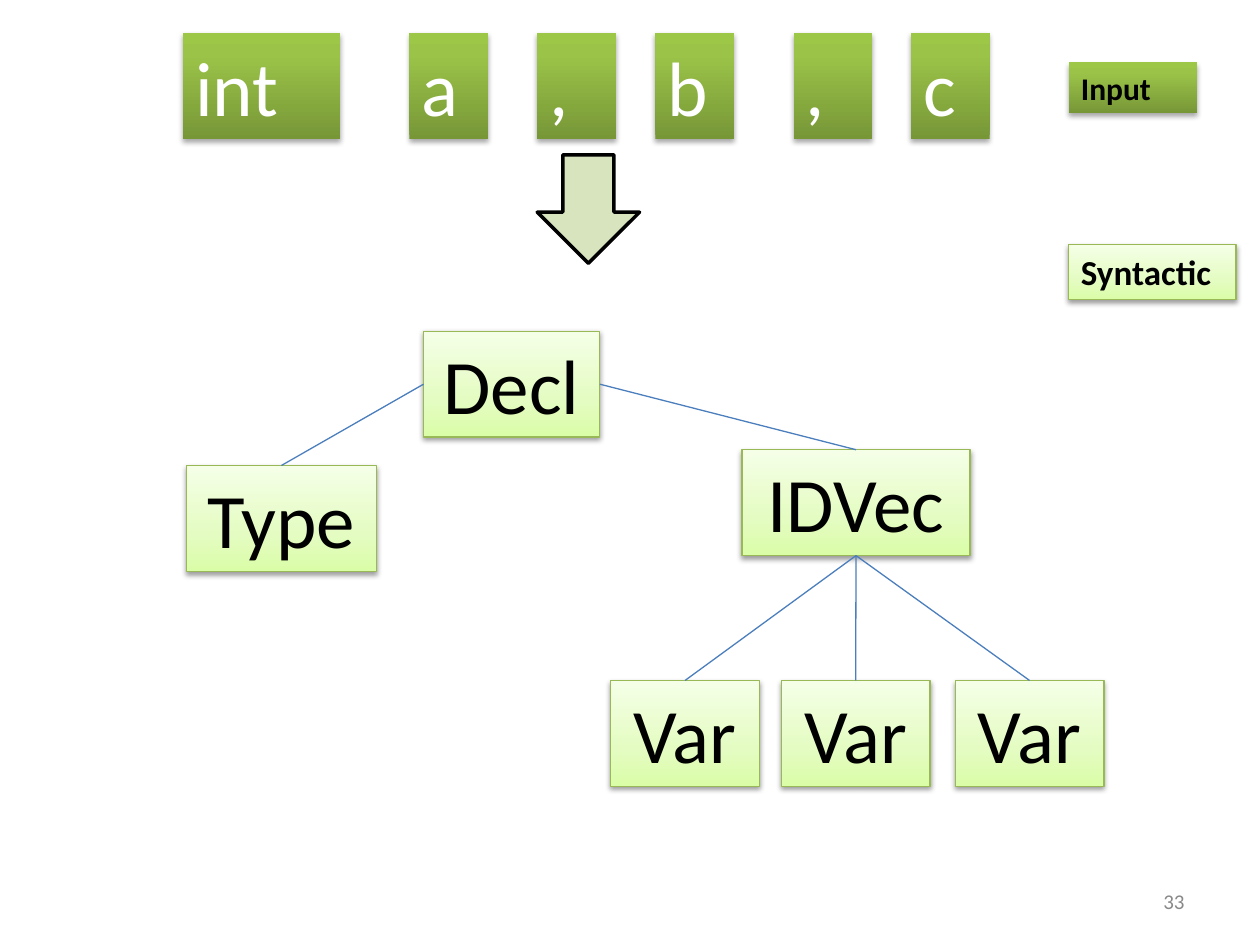
from copy import deepcopy

from lxml import etree
from pptx import Presentation
from pptx import util as u
from pptx.dml.color import RGBColor
from pptx.enum import shapes, text
from pptx.oxml.ns import qn

COLORS = {"white": "FFFFFF", "black": "000000", "grey": "898989",
          "edge": "4B7EBC", "outline": "98B955", "arrow": "D7E4BD"}
TOKEN = {"stops": [(0, "779737"), (0.8, "9BC348"), (1, "9DC746")],
         "outline": None, "shadow": (35, 3.1, 1.8)}
NODE = {"stops": [(0, "DAFDA7"), (0.35, "E4FCC2"), (1, "F5FFE7")],
        "outline": "outline", "shadow": (38, 3.1, 1.6)}
TOP, LEFT, BOTTOM, RIGHT = range(4)  # connection sites of a rectangle
BOX_HEIGHT = 60.5


def rgb(name):
    return RGBColor.from_string(COLORS[name])


class Diagram:
    font = "Calibri"

    def __init__(self, slide):
        self.shapes = slide.shapes

    def label(self, sp, words, size, color, align, bold=False, **frame):
        tf = sp.text_frame
        for key, value in {"word_wrap": True, **frame}.items():
            setattr(tf, key, value)
        p = tf.paragraphs[0]
        p.alignment = align
        r = p.add_run()
        r.text = words
        for key, value in {"name": self.font, "size": u.Pt(size), "bold": bold}.items():
            setattr(r.font, key, value)
        r.font.color.rgb = rgb(color)

    def shape(self, kind, left, top, width, height, outline, line_width=0.75):
        sp = self.shapes.add_shape(kind, *map(u.Pt, (left, top, width, height)))
        sp.shadow.inherit = False
        if outline:
            sp.line.color.rgb = rgb(outline)
            sp.line.width = u.Pt(line_width)
        else:
            sp.line.fill.background()
        return sp

    def gradient(self, sp, stops):
        """Fill from the bottom edge up with three colour stops."""
        sp.fill.gradient()
        sp.fill.gradient_angle = 90
        stop_list = sp._element.spPr.find(f"{qn('a:gradFill')}/{qn('a:gsLst')}")
        stop_list.append(deepcopy(stop_list[0]))
        for stop, (position, color) in zip(sp.fill.gradient_stops, stops):
            stop.position = position
            stop.color.rgb = RGBColor.from_string(color)

    def drop_shadow(self, sp, opacity, blur, distance):
        effects = sp._element.spPr.find(qn("a:effectLst"))
        shadow = etree.SubElement(effects, qn("a:outerShdw"), {
            "blurRad": str(u.Pt(blur)), "dist": str(u.Pt(distance)),
            "dir": "5400000", "rotWithShape": "0"})
        color = etree.SubElement(shadow, qn("a:srgbClr"), val=COLORS["black"])
        etree.SubElement(color, qn("a:alpha"), val=str(opacity * 1000))

    def box(self, style, words, left, top, width, height=BOX_HEIGHT, size=44,
            color="black", align=text.PP_ALIGN.CENTER, bold=False):
        sp = self.shape(shapes.MSO_SHAPE.RECTANGLE, left, top, width, height,
                        style["outline"])
        self.gradient(sp, style["stops"])
        self.drop_shadow(sp, *style["shadow"])
        self.label(sp, words, size, color, align, bold,
                   vertical_anchor=text.MSO_ANCHOR.TOP,
                   auto_size=text.MSO_AUTO_SIZE.SHAPE_TO_FIT_TEXT)
        return sp

    def edge(self, parent, site, child):
        """Join a site of the parent to the top of the child."""
        line = self.shapes.add_connector(shapes.MSO_CONNECTOR.STRAIGHT, 0, 0, 0, 0)
        line.begin_connect(parent, site)
        line.end_connect(child, TOP)
        line.line.color.rgb = rgb("edge")
        line.line.width = u.Pt(0.75)
        etree.SubElement(line._element.spPr, qn("a:effectLst"))

    def down_arrow(self, left, top, width, height):
        sp = self.shape(shapes.MSO_SHAPE.DOWN_ARROW, left, top, width, height, "black", 2)
        sp.fill.solid()
        sp.fill.fore_color.rgb = rgb("arrow")

    def page_number(self, words, left, top, width, height):
        sp = self.shapes.add_textbox(*map(u.Pt, (left, top, width, height)))
        self.label(sp, words, 12, "grey", text.PP_ALIGN.RIGHT,
                   vertical_anchor=text.MSO_ANCHOR.MIDDLE)


def main():
    prs = Presentation()
    prs.slide_width, prs.slide_height = u.Pt(720), u.Pt(540)
    d = Diagram(prs.slides.add_slide(prs.slide_layouts[6]))
    left_align = text.PP_ALIGN.LEFT

    tokens = [("int", 104.5, 90), ("a", 234, 45), (",", 307, 45),
              ("b", 374.5, 45), (",", 453.5, 45), ("c", 520.5, 45)]
    for word, left, width in tokens:
        d.box(TOKEN, word, left, 18.9, width, color="white", align=left_align)
    d.down_arrow(307, 88.5, 58.5, 62)

    decl = d.box(NODE, "Decl", 242, 189.3, 100.8)
    type_node = d.box(NODE, "Type", 106.5, 266, 108.7)
    id_vec = d.box(NODE, "IDVec", 424, 257, 130.3)
    d.edge(decl, LEFT, type_node)
    d.edge(decl, RIGHT, id_vec)
    for left in (349, 446.5, 545.8):
        d.edge(id_vec, BOTTOM, d.box(NODE, "Var", left, 388.8, 85))

    for style, caption, top, width, height, size in (
            (TOKEN, "Input", 35.7, 73.4, 29, 18),
            (NODE, "Syntactic", 139.7, 95.8, 31.5, 20)):
        d.box(style, caption, 610.6, top, width, height, size, align=left_align, bold=True)
    d.page_number("33", 516, 500.5, 168, 28.8)
    prs.save("out.pptx")


if __name__ == "__main__":
    main()
